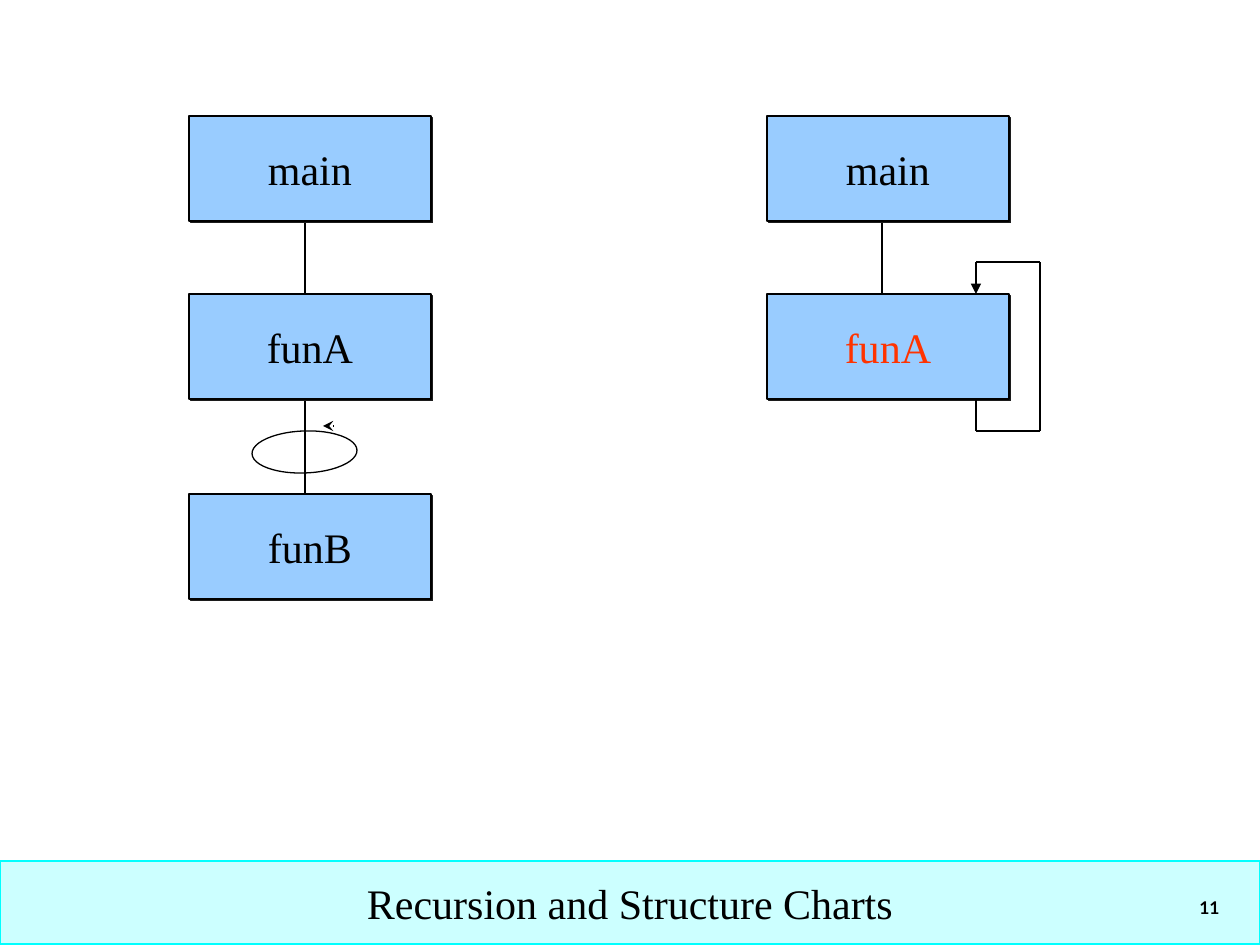
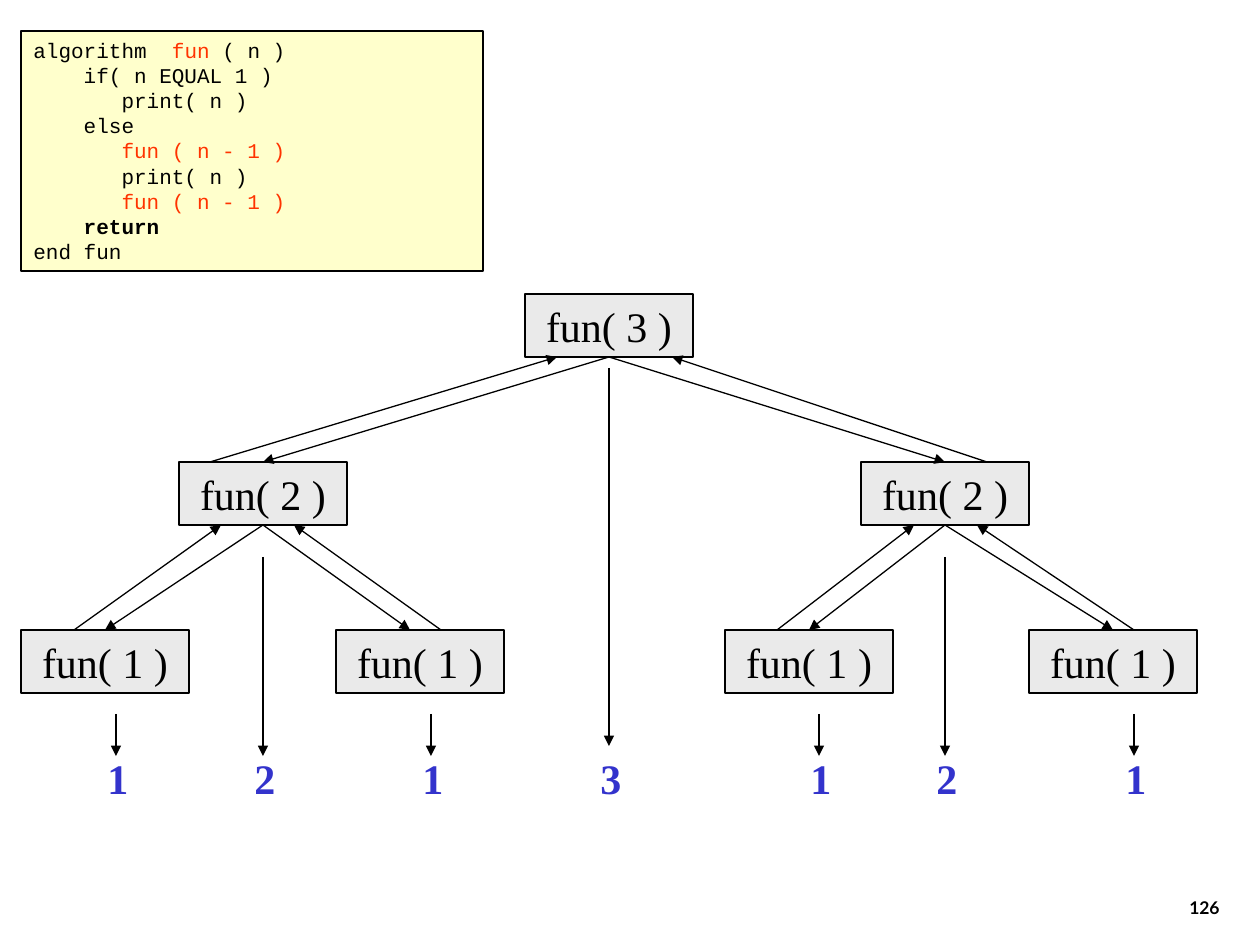
from itertools import pairwise

from lxml import etree
from pptx import Presentation
from pptx import util as u
from pptx.dml.color import RGBColor
from pptx.enum import shapes, text
from pptx.oxml import ns

SCALE = 914400 / 126  # EMU in one px
WIDTH, HEIGHT = 1260, 945
SERIF, MONO, SANS = "Times New Roman", "Courier New", "Lato"
BLACK, RED, BLUE = "000000", "FF3300", "3333CC"
PALE_BLUE, GREY, CREAM = "99CCFF", "EAEAEA", "FFFFCC"
BAND_FILL, BAND_LINE, SHADOW = "CCFFFF", "00FFFF", "1C1C1C"
SHAPE = shapes.MSO_SHAPE
ALIGN, ANCHOR = text.PP_ALIGN, text.MSO_ANCHOR

# Slide 1: structure charts
CHART_TITLE = "Recursion and Structure Charts"
MODULE_SIZE = (242, 105)
MODULES = [  # name, left, top, colour
    ("main", 189, 116, BLACK), ("funA", 189, 294, BLACK), ("funB", 189, 494, BLACK),
    ("main", 767, 116, BLACK), ("funA", 767, 294, RED),
]
STEMS = [((305, 221), (305, 494)), ((882, 221), (882, 294))]
LOOP_OVAL = (252, 431, 105, 42)
SELF_CALL = [(976, 399), (976, 431), (1040, 431), (1040, 262), (976, 262), (976, 294)]

# Slide 2: call tree
CODE = [  # runs of each line: text, colour, bold
    [("algorithm  ", BLACK, False), ("fun ", RED, False), ("( n )", BLACK, False)],
    [("    if( n EQUAL 1 )", BLACK, False)],
    [("       print( n )", BLACK, False)],
    [("    else", BLACK, False)],
    [("       fun ( n - 1 )", RED, False)],
    [("       print( n )", BLACK, False)],
    [("       fun ( n - 1 )", RED, False)],
    [("    return", BLACK, True)],
    [("end fun", BLACK, False)],
]
CALL_SIZE = (168, 63)
LEVEL_TOPS = {3: 294, 2: 462, 1: 630}
CALLS = {  # key: argument n, centre x
    "root": (3, 609),
    "left": (2, 263), "right": (2, 945),
    "left-left": (1, 105), "left-right": (1, 420),
    "right-left": (1, 809), "right-right": (1, 1113),
}
CALL_LINKS = [  # caller, callee, x of the call's end, x where the return starts and ends
    ("root", "left", 263, 210, 557), ("root", "right", 945, 987, 672),
    ("left", "left-left", 105, 74, 221), ("left", "left-right", 410, 441, 294),
    ("right", "right-left", 809, 777, 914), ("right", "right-right", 1113, 1134, 977),
]
PRINTED = [  # value, x, arrow start, arrow end
    (1, 116, 714, 756), (2, 263, 557, 756), (1, 431, 714, 756), (3, 609, 368, 746),
    (1, 819, 714, 756), (2, 945, 557, 756), (1, 1134, 714, 756),
]


def px(*lengths):
    return [u.Emu(round(length * SCALE)) for length in lengths]


def rgb(value):
    return RGBColor.from_string(value)


def write(shape, lines, size=24, font=SERIF, color=BLACK, bold=False,
          align=ALIGN.LEFT, anchor=ANCHOR.TOP, wrap=True):
    """Fill a shape with one string, or with lines made of (text, colour, bold) runs."""
    if isinstance(lines, str):
        lines = [[(lines, color, bold)]]
    frame = shape.text_frame
    frame.auto_size = text.MSO_AUTO_SIZE.NONE
    frame.word_wrap, frame.vertical_anchor = wrap, anchor
    for index, runs in enumerate(lines):
        paragraph = frame.add_paragraph() if index else frame.paragraphs[0]
        paragraph.alignment = align
        for words, run_color, run_bold in runs:
            run = paragraph.add_run()
            run.text = words
            run.font.name, run.font.size, run.font.bold = font, u.Pt(size), run_bold
            run.font.color.rgb = rgb(run_color)


def paint(shape, fill=None, line=BLACK):
    if fill:
        shape.fill.solid()
        shape.fill.fore_color.rgb = rgb(fill)
    else:
        shape.fill.background()
    shape.line.color.rgb = rgb(line)
    shape.line.width = u.Pt(0.75)


def add_box(slide, kind, box, fill=None):
    shape = slide.shapes.add_shape(kind, *px(*box))
    paint(shape, fill)
    shape.shadow.inherit = False
    return shape


def add_label(slide, box, words, **style):
    write(slide.shapes.add_textbox(*px(*box)), words, **style)


def add_line(slide, start, end, head=None, width=0.75):
    line = slide.shapes.add_connector(shapes.MSO_CONNECTOR.STRAIGHT, *px(*start, *end))
    line.line.color.rgb = rgb(BLACK)
    line.line.width = u.Pt(width)
    properties = line.element.spPr
    if head:
        etree.SubElement(properties.find(ns.qn("a:ln")), ns.qn("a:tailEnd"), type=head)
    etree.SubElement(properties, ns.qn("a:effectLst"))
    return line


def add_hard_shadow(shape):
    effects = shape.element.spPr.find(ns.qn("a:effectLst"))
    shadow = etree.SubElement(effects, ns.qn("a:outerShdw"), dist=str(u.Pt(1.4)),
                              dir="2700000", algn="ctr", rotWithShape="0")
    etree.SubElement(shadow, ns.qn("a:srgbClr"), val=SHADOW)


def add_page_number(slide, number):
    add_label(slide, (970, 861, 262, 63), str(number), size=10, font=SANS, bold=True,
              align=ALIGN.RIGHT, anchor=ANCHOR.BOTTOM)


def add_title_band(slide, words):
    title = slide.shapes.title
    title.left, title.top, title.width, title.height = px(0, 861, WIDTH, 83)
    paint(title, BAND_FILL, BAND_LINE)
    write(title, words, align=ALIGN.CENTER, anchor=ANCHOR.MIDDLE, wrap=False)


def build_structure_charts(presentation):
    slide = presentation.slides.add_slide(presentation.slide_layouts[5])
    add_title_band(slide, CHART_TITLE)
    for start, end in STEMS:
        add_line(slide, start, end)
    for name, left, top, color in MODULES:
        module = add_box(slide, SHAPE.FLOWCHART_PROCESS, (left, top, *MODULE_SIZE), PALE_BLUE)
        add_hard_shadow(module)
        write(module, name, color=color, align=ALIGN.CENTER, anchor=ANCHOR.MIDDLE, wrap=False)
    add_box(slide, SHAPE.FLOWCHART_CONNECTOR, LOOP_OVAL).rotation = 358
    add_line(slide, (334, 426), (323, 426), head="stealth", width=1)
    for start, end in pairwise(SELF_CALL):
        add_line(slide, start, end, head="triangle" if end == SELF_CALL[-1] else None)
    add_page_number(slide, 11)


def build_call_tree(presentation):
    slide = presentation.slides.add_slide(presentation.slide_layouts[6])
    write(add_box(slide, SHAPE.RECTANGLE, (21, 31, 462, 240), CREAM), CODE, size=12, font=MONO)

    width, height = CALL_SIZE
    boxes = {}
    for key, (n, center) in CALLS.items():
        box = (center - width / 2, LEVEL_TOPS[n], width, height)
        boxes[key] = add_box(slide, SHAPE.RECTANGLE, box, GREY)
        write(boxes[key], f"fun( {n} )", align=ALIGN.CENTER, anchor=ANCHOR.MIDDLE, wrap=False)

    for caller, callee, call_x, return_start, return_end in CALL_LINKS:
        (n, caller_x), (callee_n, callee_x) = CALLS[caller], CALLS[callee]
        bottom, top = LEVEL_TOPS[n] + height, LEVEL_TOPS[callee_n]
        call = add_line(slide, (caller_x, bottom), (call_x, top), head="triangle")
        call.begin_connect(boxes[caller], 2)
        if call_x == callee_x:
            call.end_connect(boxes[callee], 0)
        add_line(slide, (return_start, top), (return_end, bottom), head="triangle")

    for value, x, start, end in PRINTED:
        add_line(slide, (x, start), (x, end), head="triangle")
        add_label(slide, (x - 21, 746, 42, 63), str(value), color=BLUE, bold=True)
    add_page_number(slide, 126)


def main():
    presentation = Presentation()
    presentation.slide_width, presentation.slide_height = px(WIDTH, HEIGHT)
    build_structure_charts(presentation)
    build_call_tree(presentation)
    presentation.save("out.pptx")


if __name__ == "__main__":
    main()
